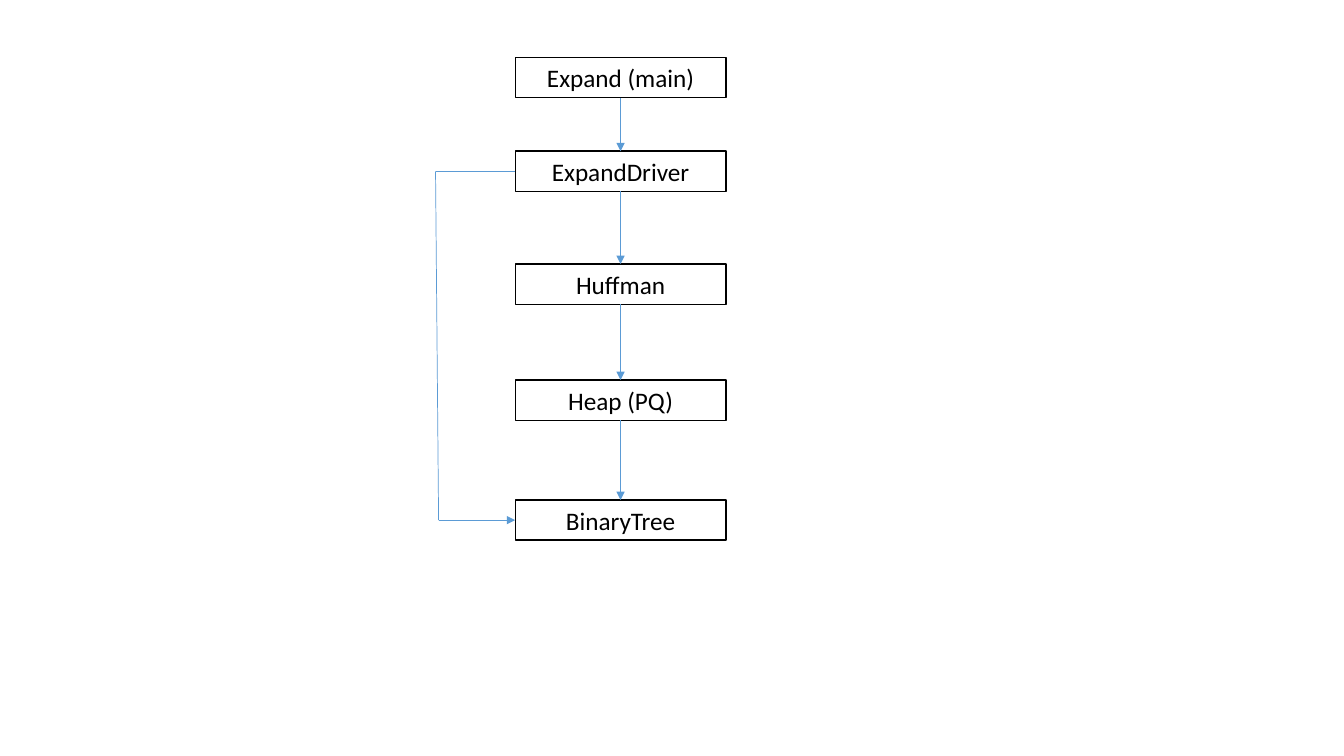
from itertools import pairwise

from lxml.etree import SubElement
from pptx import Presentation
from pptx.dml.color import RGBColor
from pptx.enum.shapes import MSO_CONNECTOR, MSO_SHAPE
from pptx.enum.text import MSO_ANCHOR, MSO_AUTO_SIZE, PP_ALIGN
from pptx.oxml.ns import qn
from pptx.util import Inches, Pt

SLIDE_WIDTH, SLIDE_HEIGHT = Inches(13.33), Inches(7.5)
BLANK_LAYOUT = 6
TOP, LEFT, BOTTOM = 0, 1, 2
CHAIN_BOX = (Inches(5.11), Inches(0.57), Inches(2.09))
MODULE_HEIGHT = Inches(0.4)
# Module name and its distance below the top of the chain, in inches
MODULES = [
    ("Expand (main)", 0),
    ("ExpandDriver", 0.93),
    ("Huffman", 2.05),
    ("Heap (PQ)", 3.2),
    ("BinaryTree", 4.39),
]


def color(hex_code):
    return RGBColor.from_string(hex_code)


def write(shape, text, size=18, font="Calibri", ink="000000", align=PP_ALIGN.CENTER):
    frame = shape.text_frame
    frame.word_wrap = True
    frame.auto_size = MSO_AUTO_SIZE.SHAPE_TO_FIT_TEXT
    frame.vertical_anchor = MSO_ANCHOR.MIDDLE
    paragraph = frame.paragraphs[0]
    paragraph.alignment = align
    run = paragraph.add_run()
    run.text = text
    run.font.size = Pt(size)
    run.font.name = font
    run.font.color.rgb = color(ink)


def add_module(slide, name, left, top, width, height):
    module = slide.shapes.add_shape(MSO_SHAPE.RECTANGLE, left, top, width, height)
    module.shadow.inherit = False
    module.fill.solid()
    module.fill.fore_color.rgb = color("FFFFFF")
    module.line.color.rgb = color("000000")
    module.line.width = Pt(1)
    write(module, name)
    return module


def add_link(slide, start=(0, 0), end=(0, 0), source=None, target=None, arrow=True):
    """Draw a line between points; source and target are (module, side) pairs."""
    link = slide.shapes.add_connector(MSO_CONNECTOR.STRAIGHT, *start, *end)
    if source:
        link.begin_connect(*source)
    if target:
        link.end_connect(*target)
    link.line.color.rgb = color("5B9BD5")
    link.line.width = Pt(0.5)
    if arrow:
        SubElement(link.line._get_or_add_ln(), qn("a:tailEnd"), type="triangle")
    SubElement(link._element.spPr, qn("a:effectLst"))


def add_chain(slide, left, top, width):
    """Stack the modules, join neighbours with arrows and return the modules."""
    modules = [
        add_module(slide, name, left, top + Inches(drop), width, MODULE_HEIGHT)
        for name, drop in MODULES
    ]
    for caller, callee in pairwise(modules):
        add_link(slide, source=(caller, BOTTOM), target=(callee, TOP))
    return modules


def add_bypass(slide, caller, callee):
    """Route a call around the left of the chain."""
    upper = (caller.left - Inches(0.79), caller.top + caller.height // 2)
    lower = (callee.left - Inches(0.76), callee.top + callee.height // 2)
    add_link(slide, end=upper, source=(caller, LEFT), arrow=False)
    add_link(slide, start=upper, end=lower, arrow=False)
    add_link(slide, start=lower, target=(callee, LEFT))


def main():
    deck = Presentation()
    deck.slide_width, deck.slide_height = SLIDE_WIDTH, SLIDE_HEIGHT
    slide = deck.slides.add_slide(deck.slide_layouts[BLANK_LAYOUT])
    _, driver, _, _, tree = add_chain(slide, *CHAIN_BOX)
    add_bypass(slide, driver, tree)
    deck.save("out.pptx")


if __name__ == "__main__":
    main()
